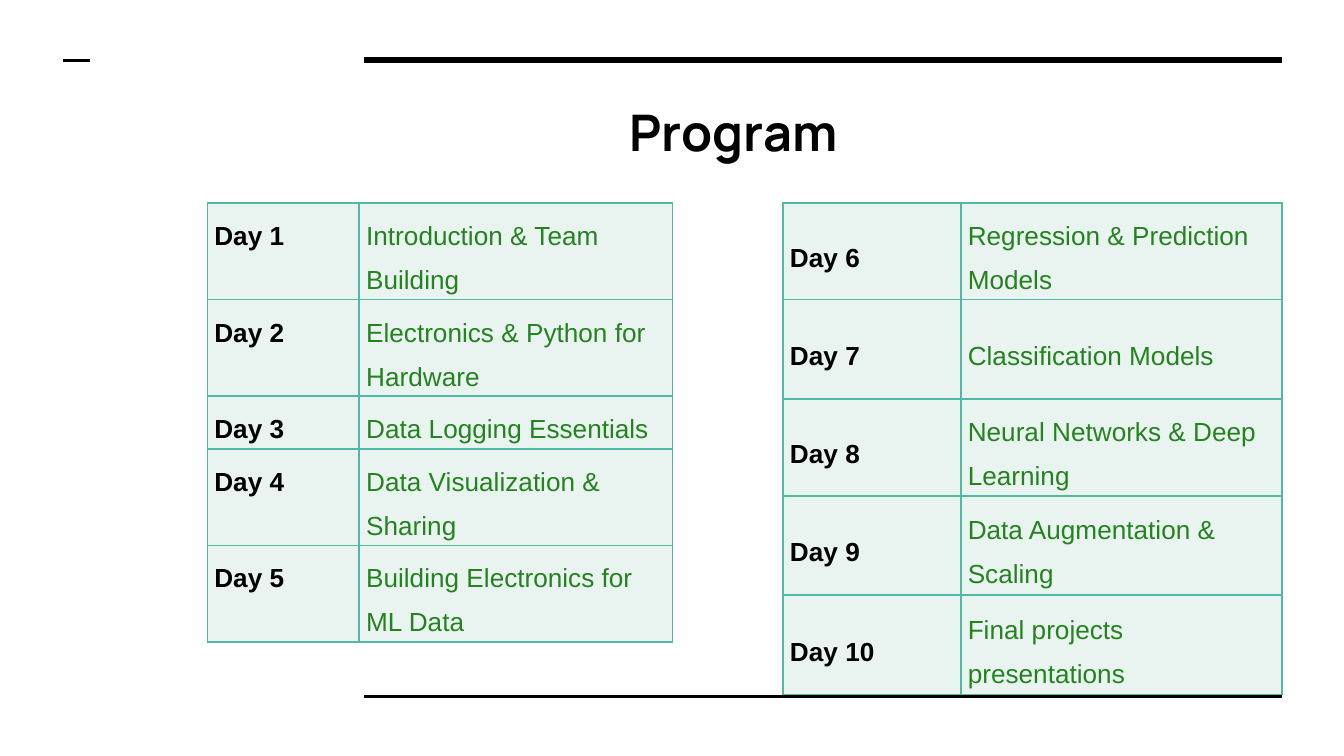
from lxml.etree import SubElement
from pptx import Presentation
from pptx.dml.color import RGBColor
from pptx.enum.shapes import MSO_CONNECTOR
from pptx.enum.text import MSO_ANCHOR, PP_ALIGN
from pptx.oxml.ns import qn
from pptx.util import Cm, Pt

COLORS = {"ink": "000000", "topic": "258220", "cell": "E9F3F0", "border": "51B9A3"}
TITLE_FONT = {"name": "Manrope", "size": Pt(27), "bold": True}
DAY_FONT = {"name": "Arial", "size": Pt(14), "bold": True}
TOPIC_FONT = {"name": "Arial", "size": Pt(14), "bold": False}
CELL_MARGINS = {
    "margin_left": Cm(0.13),
    "margin_right": Cm(0.13),
    "margin_top": Cm(0.08),
    "margin_bottom": Cm(0.08),
}
RULES = [
    (6.88, 24.23, 1.14, 3),
    (6.88, 24.23, 13.16, 1.5),
    (1.19, 1.7, 1.14, 1.5),
]
WEEK_ONE = [
    "Introduction & Team Building",
    "Electronics & Python for Hardware",
    "Data Logging Essentials",
    "Data Visualization & Sharing",
    "Building Electronics for ML Data",
]
WEEK_TWO = [
    "Regression & Prediction Models",
    "Classification Models",
    "Neural Networks & Deep Learning",
    "Data Augmentation & Scaling",
    "Final projects presentations",
]


def rgb(name):
    """Return the named colour."""
    return RGBColor.from_string(COLORS[name])


def set_all(obj, values):
    """Set every attribute in a dict of format values."""
    for name, value in values.items():
        setattr(obj, name, value)


def write(p, text, font, color):
    """Add one formatted run to a paragraph."""
    r = p.add_run()
    r.text = text
    set_all(r.font, font)
    r.font.color.rgb = rgb(color)


def add_rule(s, left, right, y, weight):
    """Draw a horizontal black line."""
    line = s.shapes.add_connector(
        MSO_CONNECTOR.STRAIGHT, Cm(left), Cm(y), Cm(right), Cm(y)
    )
    line.line.width = Pt(weight)
    line.line.color.rgb = rgb("ink")
    SubElement(line._element.spPr, qn("a:effectLst"))


def add_title(s, text):
    """Place and format the title placeholder."""
    sp = s.shapes.title
    box = {"left": Cm(6.65), "top": Cm(1.6), "width": Cm(14.43), "height": Cm(1.75)}
    set_all(sp, box)
    tf = sp.text_frame
    inset = Cm(0.25)
    frame = {f"margin_{side}": inset for side in ("left", "right", "top", "bottom")}
    set_all(tf, {**frame, "vertical_anchor": MSO_ANCHOR.MIDDLE, "word_wrap": True})
    p = tf.paragraphs[0]
    p.alignment = PP_ALIGN.CENTER
    write(p, text, TITLE_FONT, "ink")


def add_borders(cell):
    """Give a cell thin borders on all sides."""
    tc_pr = cell._tc.get_or_add_tcPr()
    for side in ("lnL", "lnR", "lnT", "lnB"):
        ln = SubElement(tc_pr, qn(f"a:{side}"), w=str(Pt(1)))
        fill = SubElement(ln, qn("a:solidFill"))
        SubElement(fill, qn("a:srgbClr"), val=COLORS["border"])


def fill_cell(cell, text, font, color, anchor):
    """Format a table cell and write its text."""
    add_borders(cell)
    cell.fill.solid()
    cell.fill.fore_color.rgb = rgb("cell")
    set_all(cell, {**CELL_MARGINS, "vertical_anchor": anchor})
    p = cell.text_frame.paragraphs[0]
    p.line_spacing = 1.5
    write(p, text, font, color)


def add_schedule(s, left, widths, heights, first_day, topics, anchor):
    """Add a table of numbered days and their topics."""
    table = s.shapes.add_table(
        len(topics), 2, Cm(left), Cm(3.84), Cm(sum(widths)), Cm(sum(heights))
    ).table
    set_all(table, {"first_row": False, "horz_banding": False})
    for column, width in zip(table.columns, widths):
        column.width = Cm(width)
    for i, (topic, height) in enumerate(zip(topics, heights)):
        table.rows[i].height = Cm(height)
        fill_cell(table.cell(i, 0), f"Day {first_day + i}", DAY_FONT, "ink", anchor)
        fill_cell(table.cell(i, 1), topic, TOPIC_FONT, "topic", anchor)


def main():
    """Build the program slide."""
    prs = Presentation()
    set_all(prs, {"slide_width": Cm(25.4), "slide_height": Cm(14.29)})
    s = prs.slides.add_slide(prs.slide_layouts[5])
    for rule in RULES:
        add_rule(s, *rule)
    add_title(s, "Program")
    add_schedule(s, 3.92, [2.87, 5.92], [0.76] * 5, 1, WEEK_ONE, MSO_ANCHOR.TOP)
    add_schedule(
        s, 14.8, [3.36, 6.07], [0.94, 1.88, 1.68, 1.88, 1.88],
        6, WEEK_TWO, MSO_ANCHOR.MIDDLE,
    )
    prs.save("out.pptx")


if __name__ == "__main__":
    main()
